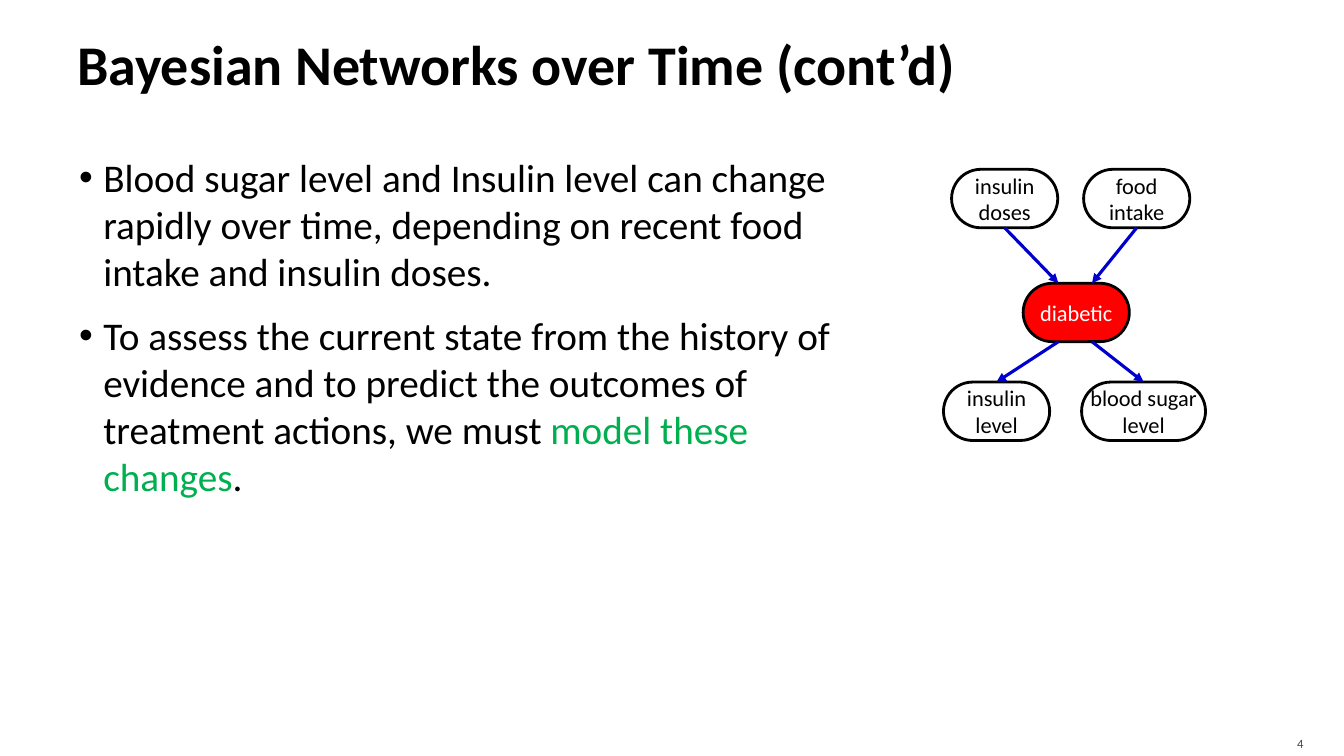
from lxml import etree
from pptx import Presentation
from pptx import util as u
from pptx.dml.color import RGBColor
from pptx.enum import shapes, text
from pptx.oxml.ns import qn

BLACK = RGBColor(0x00, 0x00, 0x00)
WHITE = RGBColor(0xFF, 0xFF, 0xFF)
GREY = RGBColor(0x45, 0x45, 0x45)
RED = RGBColor(0xFF, 0x00, 0x00)
GREEN = RGBColor(0x00, 0xB0, 0x50)
BLUE = RGBColor(0x00, 0x00, 0xCC)


class Deck:
    """Draws styled elements on a slide grid of 40 columns by 30 rows."""

    font = "Calibri"
    node_w, node_h = 3.16, 2.32

    def __init__(self):
        self.prs = Presentation()
        self.prs.slide_width = u.Inches(13.33)
        self.prs.slide_height = u.Inches(7.5)
        self.s = self.prs.slides.add_slide(self.prs.slide_layouts[6])

    def x(self, cols):
        return round(self.prs.slide_width * cols / 40)

    def y(self, rows):
        return round(self.prs.slide_height * rows / 30)

    def box(self, col, row, w, h):
        return self.x(col), self.y(row), self.x(w), self.y(h)

    def frame(self, sp, insets, anchor):
        tf = sp.text_frame
        tf.word_wrap = True
        tf.vertical_anchor = anchor
        tf.margin_left, tf.margin_top, tf.margin_right, tf.margin_bottom = map(u.Inches, insets)
        return tf

    def style(self, font, size, color, bold=False):
        font.name, font.size, font.bold = self.font, u.Pt(size), bold
        font.color.rgb = color

    def label(self, box, words, size, color, insets, align=text.PP_ALIGN.LEFT, bold=False):
        tf = self.frame(self.s.shapes.add_textbox(*self.box(*box)), insets, text.MSO_ANCHOR.MIDDLE)
        tf.text = words
        tf.paragraphs[0].alignment = align
        self.style(tf.paragraphs[0].runs[0].font, size, color, bold)

    def bullets(self, box, items, size):
        tf = self.frame(self.s.shapes.add_textbox(*self.box(*box)),
                        (0.1, 0.1, 0.1, 0.05), text.MSO_ANCHOR.TOP)
        for i, item in enumerate(items):
            p = tf.add_paragraph() if i else tf.paragraphs[0]
            p.space_before, p.space_after = u.Pt(6 if i else 0), u.Pt(6)
            pPr = p._p.get_or_add_pPr()
            pPr.set("marL", str(u.Inches(0.26)))
            pPr.set("indent", str(u.Inches(-0.24)))
            color = etree.SubElement(pPr, qn("a:buClr"))
            etree.SubElement(color, qn("a:srgbClr"), val=str(BLACK))
            etree.SubElement(pPr, qn("a:buFont"), typeface="Arial")
            etree.SubElement(pPr, qn("a:buChar"), char="•")
            for words, shade in item:
                r = p.add_run()
                r.text = words
                self.style(r.font, size, shade)

    def node(self, words, col, row, w=node_w, fill=None, color=BLACK):
        sp = self.s.shapes.add_shape(shapes.MSO_SHAPE.ROUNDED_RECTANGLE,
                                     *self.box(col, row, w, self.node_h))
        sp.adjustments[0] = 0.5
        sp.shadow.inherit = False
        if fill is None:
            sp.fill.background()
        else:
            sp.fill.solid()
            sp.fill.fore_color.rgb = fill
        sp.line.color.rgb, sp.line.width = BLACK, u.Pt(2)
        tf = self.frame(sp, (0, 0, 0, 0), text.MSO_ANCHOR.MIDDLE)
        tf.text = words
        tf.paragraphs[0].alignment = text.PP_ALIGN.CENTER
        self.style(tf.paragraphs[0].runs[0].font, 16, color)
        return sp

    def arrow(self, start, end, parent=None, child=None):
        cx = self.s.shapes.add_connector(shapes.MSO_CONNECTOR.STRAIGHT, *start, *end)
        if parent is not None:
            cx.begin_connect(parent, 2)
        if child is not None:
            cx.end_connect(child, 0)
        cx.line.color.rgb, cx.line.width = BLUE, u.Pt(2.25)
        etree.SubElement(cx.line._get_or_add_ln(), qn("a:tailEnd"), type="triangle")
        etree.SubElement(cx._element.spPr, qn("a:effectLst"))


def main():
    d = Deck()
    d.label((2, 0.68, 36, 3.68), "Bayesian Networks over Time (cont’d)", 40, BLACK,
            (0.1, 0.05, 0.05, 0.05), bold=True)
    d.bullets((2, 5.68, 23.16, 24.08), [
        [("Blood sugar level and Insulin level can change rapidly over time, "
          "depending on recent food intake and insulin doses.", BLACK)],
        [("To assess the current state from the history of evidence and to predict "
          "the outcomes of treatment actions, we must ", BLACK),
         ("model these changes", GREEN), (".", BLACK)],
    ], 28)
    d.label((35.88, 28.8, 3.21, 1.2), "4", 9, GREY, (0.1, 0.05, 0.1, 0), text.PP_ALIGN.RIGHT)

    diabetic = d.node("diabetic", 30.45, 11.24, fill=RED, color=WHITE)
    causes = [d.node("insulin doses", 28.32, 6.72), d.node("food intake", 32.25, 6.72)]
    effects = [d.node("insulin level", 28.08, 15.16),
               d.node("blood sugar level", 32.19, 15.16, w=3.69)]
    bottom = diabetic.top + diabetic.height
    for col, cause, effect in zip((31.5, 32.5), causes, effects):
        top_end, bottom_end = (d.x(col), diabetic.top), (d.x(col), bottom)
        d.arrow(top_end, top_end, parent=cause)
        d.arrow(bottom_end, bottom_end, child=effect)
    d.prs.save("out.pptx")


if __name__ == "__main__":
    main()
